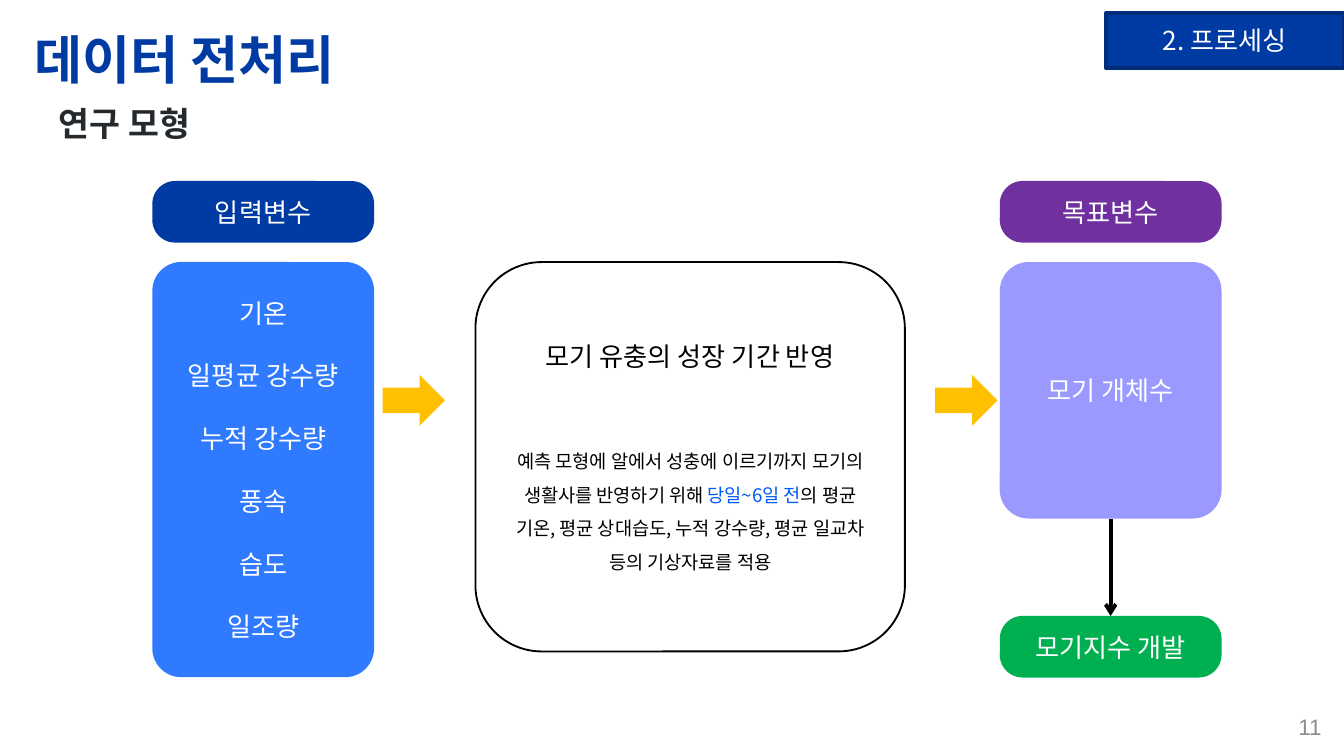
from dataclasses import dataclass
from typing import Optional

from lxml import etree
from pptx import Presentation
from pptx.dml.color import RGBColor
from pptx.enum import shapes, text
from pptx.oxml import ns
from pptx.util import Pt

COLORS = {
    "white": "FFFFFF", "black": "000000", "navy": "003BA3", "navy_edge": "002C79",
    "ink": "24292E", "blue": "2F7AFF", "accent": "005AF7", "amber": "FFC000",
    "lilac": "9999FF", "purple": "7030A0", "green": "00B050", "gray": "8C8C8C",
}
KOREAN = "Noto Sans CJK KR"
RECT = shapes.MSO_SHAPE.RECTANGLE
ROUND = shapes.MSO_SHAPE.ROUNDED_RECTANGLE
ARROW = shapes.MSO_SHAPE.RIGHT_ARROW
LEFT, CENTER, RIGHT = text.PP_ALIGN.LEFT, text.PP_ALIGN.CENTER, text.PP_ALIGN.RIGHT
TOP, MIDDLE = text.MSO_ANCHOR.TOP, text.MSO_ANCHOR.MIDDLE


@dataclass(frozen=True)
class Span:
    words: str
    size: float = 14
    color: str = "white"
    bold: bool = False
    font: str = KOREAN


@dataclass(frozen=True)
class Line:
    spans: tuple[Span, ...]
    before: float = 0
    spacing: Optional[float] = None


@dataclass(frozen=True)
class Area:
    left: float
    top: float
    width: float
    height: float


@dataclass(frozen=True)
class Block:
    area: Area
    kind: shapes.MSO_SHAPE
    fill: Optional[str]
    lines: tuple[Line, ...] = ()
    radius: Optional[float] = None
    edge: Optional[str] = None
    edge_width: float = 1


@dataclass(frozen=True)
class Label:
    area: Area
    span: Span
    align: text.PP_ALIGN = LEFT
    anchor: text.MSO_ANCHOR = TOP
    inset: float = 3.6


def rgb(name: str) -> RGBColor:
    return RGBColor.from_string(COLORS[name])


def place(area: Area) -> tuple[Pt, Pt, Pt, Pt]:
    return Pt(area.left), Pt(area.top), Pt(area.width), Pt(area.height)


def write(frame, lines: tuple[Line, ...], align, anchor) -> None:
    frame.word_wrap = True
    frame.vertical_anchor = anchor
    for index, line in enumerate(lines):
        paragraph = frame.add_paragraph() if index else frame.paragraphs[0]
        paragraph.alignment = align
        if line.before:
            paragraph.space_before = Pt(line.before)
        if line.spacing:
            paragraph.line_spacing = line.spacing
        for span in line.spans:
            run = paragraph.add_run()
            run.text = span.words
            run.font.size = Pt(span.size)
            run.font.bold = span.bold
            run.font.color.rgb = rgb(span.color)
            run.font.name = span.font
            east_asian = etree.SubElement(run.font._element, ns.qn("a:ea"))
            east_asian.set("typeface", span.font)


def draw_block(slide, block: Block) -> None:
    shape = slide.shapes.add_shape(block.kind, *place(block.area))
    shape.shadow.inherit = False
    if block.radius is not None:
        shape.adjustments[0] = block.radius
    if block.fill:
        shape.fill.solid()
        shape.fill.fore_color.rgb = rgb(block.fill)
    else:
        shape.fill.background()
    if block.edge:
        shape.line.color.rgb = rgb(block.edge)
        shape.line.width = Pt(block.edge_width)
    else:
        shape.line.fill.background()
    if block.lines:
        write(shape.text_frame, block.lines, CENTER, MIDDLE)


def draw_label(slide, label: Label) -> None:
    frame = slide.shapes.add_textbox(*place(label.area)).text_frame
    frame.margin_top = frame.margin_bottom = Pt(label.inset)
    write(frame, (Line((label.span,)),), label.align, label.anchor)


def draw_link(slide, x: float, start: float, end: float) -> None:
    link = slide.shapes.add_connector(
        shapes.MSO_CONNECTOR.STRAIGHT, Pt(x), Pt(start), Pt(x), Pt(end))
    link.line.color.rgb = rgb("black")
    link.line.width = Pt(2)
    head = etree.SubElement(link.line._get_or_add_ln(), ns.qn("a:tailEnd"))
    head.set("type", "arrow")
    etree.SubElement(link._element.spPr, ns.qn("a:effectLst"))


def caption(words: str) -> tuple[Line, ...]:
    return (Line((Span(words),)),)


INPUT_X, TARGET_X, COLUMN_WIDTH = 81.6, 535.6, 118.8
HEADER_Y, BODY_Y, INDEX_Y, PILL_HEIGHT = 97, 140.4, 330, 33
TARGET_HEIGHT = 137.4
PILL_RADIUS, PANEL_RADIUS = 0.37, 0.13

INPUTS = ("기온", "일평균 강수량", "누적 강수량", "풍속", "습도", "일조량")
input_lines = tuple(
    Line((Span(name),), before=16.8 if index else 0)
    for index, name in enumerate(INPUTS))
model_lines = (
    Line((Span("모기 유충의 성장 기간 반영", color="black"),)),
    Line((
        Span("예측 모형에 알에서 성충에 이르기까지 모기의 생활사를 반영하기 위해 ", 10, "black"),
        Span("당일~6일 전", 10, "accent"),
        Span("의 평균 기온, 평균 상대습도, 누적 강수량, 평균 일교차 등의 기상자료를 적용",
             10, "black"),
    ), before=36, spacing=1.5),
)

PILLS = (
    (INPUT_X, HEADER_Y, "navy", "입력변수"),
    (TARGET_X, HEADER_Y, "purple", "목표변수"),
    (TARGET_X, INDEX_Y, "green", "모기지수 개발"),
)
BLOCKS = (
    Block(Area(592.4, 7, 127.6, 29.4), RECT, "navy", caption("2. 프로세싱"),
          edge="navy_edge", edge_width=2),
    Block(Area(INPUT_X, BODY_Y, COLUMN_WIDTH, 222.4), ROUND, "blue",
          input_lines, PANEL_RADIUS),
    Block(Area(TARGET_X, BODY_Y, COLUMN_WIDTH, TARGET_HEIGHT), ROUND, "lilac",
          caption("모기 개체수"), PANEL_RADIUS),
    *(Block(Area(x, y, COLUMN_WIDTH, PILL_HEIGHT), ROUND, fill,
            caption(words), PILL_RADIUS) for x, y, fill, words in PILLS),
    *(Block(Area(x, 200.9, 33.4, 27.2), ARROW, "amber") for x in (205, 501)),
    Block(Area(254.7, BODY_Y, 230.1, 208.6), ROUND, None, model_lines,
          radius=0.17, edge="black"),
)
LABELS = (
    Label(Area(11.5, 7.2, 607.7, 45.4), Span("데이터 전처리", 28, "navy", True), inset=7.2),
    Label(Area(24.5, 51.8, 630, 28.8), Span("연구 모형", 18, "ink", True)),
    Label(Area(553, 378.7, 162, 21.6), Span("11", 12, "gray", font="Arial"), RIGHT, MIDDLE),
)


def main() -> None:
    deck = Presentation()
    deck.slide_width, deck.slide_height = Pt(720), Pt(405)
    slide = deck.slides.add_slide(deck.slide_layouts[6])
    for label in LABELS:
        draw_label(slide, label)
    for block in BLOCKS:
        draw_block(slide, block)
    draw_link(slide, TARGET_X + COLUMN_WIDTH / 2, BODY_Y + TARGET_HEIGHT, INDEX_Y)
    deck.save("out.pptx")


if __name__ == "__main__":
    main()
